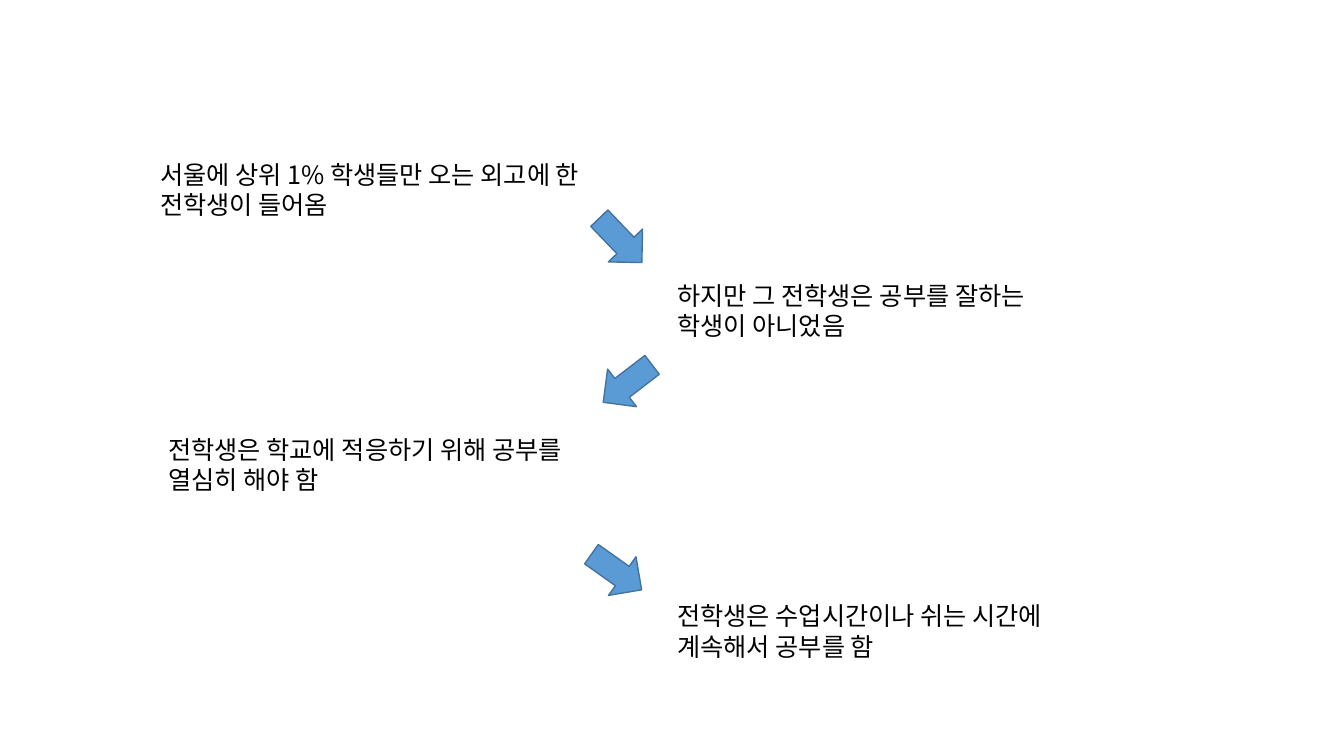
from lxml import etree
from pptx import Presentation
from pptx.dml.color import RGBColor
from pptx.enum import shapes, text
from pptx.oxml import ns
from pptx.util import Inches, Pt

COLORS = {"text": "000000", "arrow": "5B9BD5", "outline": "43739E"}
FONT = "Noto Sans CJK KR"

# left, top, wording
STEPS = [
    (1.49, 1.53, "서울에 상위 1% 학생들만 오는 외고에 한 전학생이 들어옴"),
    (6.62, 2.73, "하지만 그 전학생은 공부를 잘하는 학생이 아니었음"),
    (1.57, 4.26, "전학생은 학교에 적응하기 위해 공부를 열심히 해야 함"),
    (6.62, 5.91, "전학생은 수업시간이나 쉬는 시간에 계속해서 공부를 함"),
]
# left, top, rotation in degrees
ARROWS = [(5.85, 2.15, 46.2), (5.92, 3.57, 142.5), (5.81, 5.44, 35.4)]


class StoryFlow:
    """Holds the style and the slide being filled."""

    def __init__(self, slide):
        self.slide = slide

    def color(self, name):
        return RGBColor.from_string(COLORS[name])

    def step(self, left, top, wording):
        sp = self.slide.shapes.add_textbox(
            Inches(left), Inches(top), Inches(4.36), Inches(0.71))
        tf = sp.text_frame
        tf.word_wrap = True
        tf.auto_size = text.MSO_AUTO_SIZE.SHAPE_TO_FIT_TEXT
        p = tf.paragraphs[0]
        p.text = wording
        p.font.size = Pt(18)
        p.font.color.rgb = self.color("text")
        p.font.name = FONT
        # Hangul takes its typeface from the East Asian slot
        latin = p._p.pPr.find(ns.qn("a:defRPr")).find(ns.qn("a:latin"))
        ea = etree.Element(ns.qn("a:ea"), typeface=FONT)
        latin.addnext(ea)

    def arrow(self, left, top, rotation):
        sp = self.slide.shapes.add_shape(
            shapes.MSO_SHAPE.RIGHT_ARROW,
            Inches(left), Inches(top), Inches(0.61), Inches(0.47))
        sp.rotation = rotation
        sp.shadow.inherit = False
        sp.fill.solid()
        sp.fill.fore_color.rgb = self.color("arrow")
        sp.line.color.rgb = self.color("outline")
        sp.line.width = Pt(1)


def main():
    prs = Presentation()
    prs.slide_width, prs.slide_height = Inches(13.33), Inches(7.5)
    flow = StoryFlow(prs.slides.add_slide(prs.slide_layouts[6]))
    for step in STEPS:
        flow.step(*step)
    for arrow in ARROWS:
        flow.arrow(*arrow)
    prs.save("out.pptx")


if __name__ == "__main__":
    main()
